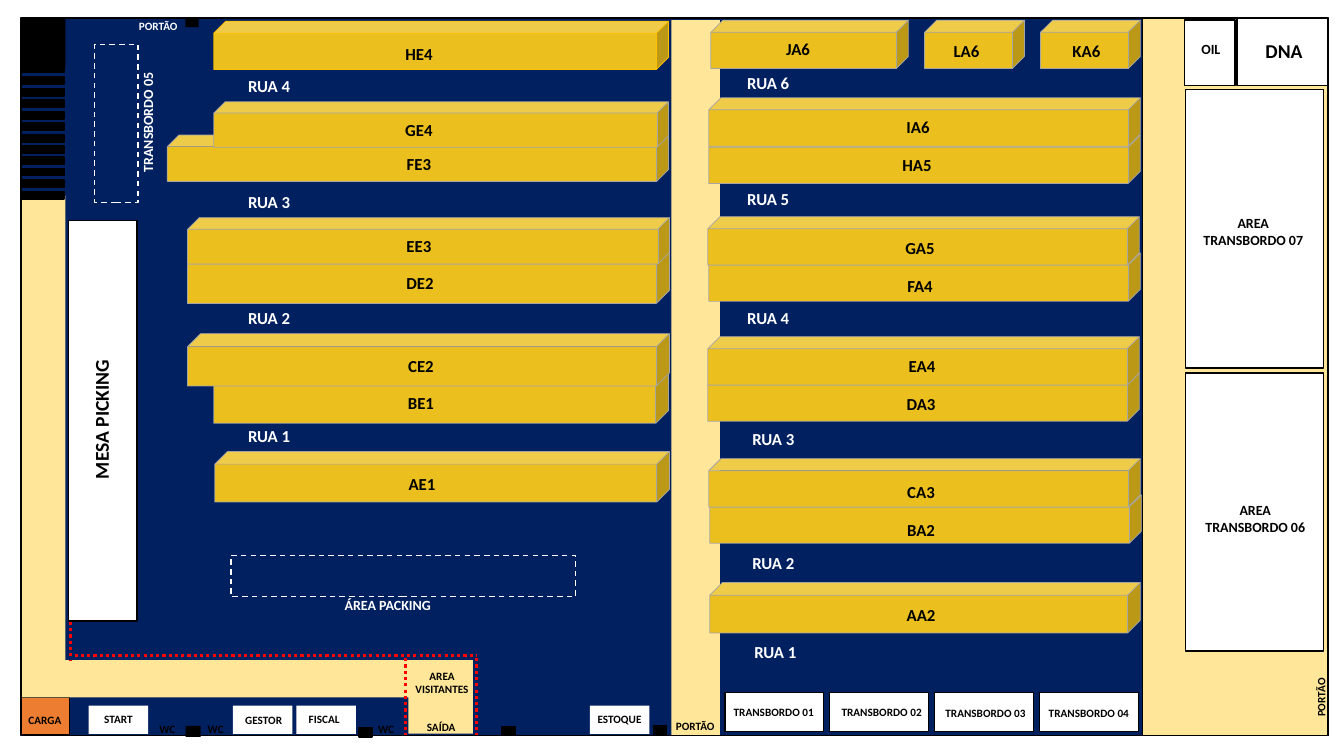
from lxml.etree import SubElement
from pptx import Presentation
from pptx.dml.color import RGBColor
from pptx.enum.dml import MSO_LINE
from pptx.enum.shapes import MSO_CONNECTOR, MSO_SHAPE
from pptx.enum.text import MSO_AUTO_SIZE, PP_ALIGN
from pptx.oxml.ns import qn
from pptx.util import Pt

PX = 9144  # 100 px to the inch
SLIDE_SIZE = (1333, 750)
FONT = "Calibri"

NAVY = RGBColor(0x00, 0x20, 0x60)
CREAM = RGBColor(0xFF, 0xE6, 0x99)
ORANGE = RGBColor(0xED, 0x7D, 0x31)
YELLOW = RGBColor(0xEB, 0xBF, 0x1D)
AMBER = RGBColor(0xFF, 0xC0, 0x00)
GREY = RGBColor(0xA5, 0xA5, 0xA5)
RED = RGBColor(0xFF, 0x00, 0x00)
BLACK = RGBColor(0x00, 0x00, 0x00)
WHITE = RGBColor(0xFF, 0xFF, 0xFF)

# Floor areas: (left, top, width, height), fill, outline
FLOOR = [
    ((21, 18, 1297, 712), NAVY, BLACK),
    ((1133, 18, 184, 712), CREAM, BLACK),
    ((1227, 18, 90, 67), WHITE, BLACK),
    ((666, 20, 48, 709), CREAM, None),
    ((1176, 370, 137, 276), WHITE, BLACK),
    ((1176, 89, 137, 276), WHITE, BLACK),
    ((21, 692, 48, 37), ORANGE, BLACK),
    ((22, 194, 43, 462), CREAM, None),
    ((22, 655, 447, 37), CREAM, None),
]
STAIRS = {"left": 14, "top": 13, "width": 57, "height": 32, "count": 8, "last_top": 172}

# Rooms, doors and tables
ROOMS = [
    ((21, 18, 44, 50), BLACK, None),
    ((88, 700, 59, 28), WHITE, None),
    ((184, 720, 15, 11), BLACK, None),
    ((356, 722, 13, 9), BLACK, BLACK),
    ((498, 721, 13, 9), BLACK, BLACK),
    ((648, 720, 13, 9), BLACK, BLACK),
    ((294, 700, 59, 28), WHITE, None),
    ((231, 700, 59, 28), WHITE, None),
    ((585, 700, 59, 28), WHITE, None),
    ((405, 658, 64, 70), CREAM, None),
    ((68, 219, 68, 397), WHITE, BLACK),
    ((184, 18, 13, 9), BLACK, None),
    ((1175, 20, 50, 65), WHITE, BLACK),
]

DOCK = {"left": 719, "top": 687, "width": 98, "height": 39, "pitch": 104}
DOCK_LABELS = [("TRANSBORDO 01", 713, 695, 109), ("TRANSBORDO 02", 820, 695, 109),
               ("TRANSBORDO 03", 920, 696, 115), ("TRANSBORDO 04", 1024, 696, 112)]

# Visitor path: start x, y, end x, y
VISITOR_PATH = [(70, 617, 70, 655), (74, 650, 473, 650),
                (473, 653, 473, 729), (402, 653, 402, 729)]
MARKED_AREAS = [(229, 551, 342, 41), (94, 44, 43, 157)]

# Racks, back to front: name, (left, top, width, height), label left, label top
RACKS = [
    ("HE4", (212, 21, 451, 48), 383, 38),
    ("FE3", (166, 134, 497, 46), 383, 148),
    ("GE4", (212, 101, 451, 45), 383, 114),
    ("DE2", (186, 249, 478, 52), 384, 266),
    ("EE3", (186, 216, 478, 46), 383, 229),
    ("BE1", (212, 370, 451, 50), 385, 385),
    ("CE2", (186, 331, 478, 52), 385, 348),
    ("AE1", (213, 448, 451, 50), 386, 465),
    ("JA6", (705, 20, 196, 48), 759, 34),
    ("LA6", (917, 20, 99, 48), 926, 36),
    ("KA6", (1032, 20, 99, 48), 1045, 36),
    ("HA5", (703, 134, 428, 48), 877, 149),
    ("IA6", (703, 97, 428, 48), 878, 111),
    ("FA4", (703, 251, 428, 48), 880, 269),
    ("GA5", (702, 215, 428, 48), 880, 231),
    ("DA3", (702, 370, 428, 48), 881, 386),
    ("EA4", (702, 334, 428, 48), 882, 348),
    ("BA2", (704, 491, 428, 48), 881, 511),
    ("CA3", (703, 455, 428, 48), 881, 473),
    ("AA2", (704, 578, 427, 50), 881, 595),
]

# Aisles: left and top of RUA 1, RUA 2 and so on, for each side
AISLES = [
    [(222, 417), (222, 300), (222, 185), (222, 70)],
    [(724, 632), (722, 543), (722, 420), (717, 300), (717, 182), (717, 67)],
]

# Labels: size, colour, rotation, [(text, left, top, width)]
LABELS = [
    (8, BLACK, 0, [
        ("START", 88, 702, 59), ("GESTOR", 232, 703, 59), ("FISCAL", 292, 702, 59),
        ("ESTOQUE", 582, 702, 65), ("CARGA", 15, 703, 59),
        ("AREA\nVISITANTES", 400, 659, 77), ("PORTÃO", 659, 709, 61),
        ("WC", 146, 712, 40), ("WC", 194, 712, 40), ("WC", 363, 712, 40),
        ("SAÍDA", 405, 710, 65)] + DOCK_LABELS),
    (8, WHITE, 0, [("PORTÃO", 122, 14, 70)]),
    (8, BLACK, 270, [("PORTÃO", 1280, 680, 61)]),
    (10, BLACK, 0, [("AREA\nTRANSBORDO 06", 1177, 493, 136),
                    ("AREA\nTRANSBORDO 07", 1175, 208, 136), ("OIL", 1176, 35, 50)]),
    (10, WHITE, 0, [("ÁREA PACKING", 251, 587, 267)]),
    (10, WHITE, 270, [("TRANSBORDO 05", 67, 108, 159)]),
    (14, BLACK, 0, [("DNA", 1244, 34, 59)]),
    (14, BLACK, 270, [("MESA PICKING", -87, 399, 375)]),
    (12, BLACK, 0, [(name, left, top, 65) for name, _, left, top in RACKS]),
    (12, WHITE, 0, [(f"RUA {number}", left, top, 90)
                    for side in AISLES for number, (left, top) in enumerate(side, 1)]),
]


def add_block(shapes, kind, box, fill, outline, weight=1):
    shape = shapes.add_shape(kind, *(value * PX for value in box))
    shape.shadow.inherit = False
    if fill is None:
        shape.fill.background()
    else:
        shape.fill.solid()
        shape.fill.fore_color.rgb = fill
    if outline is None:
        shape.line.fill.background()
    else:
        shape.line.color.rgb = outline
        shape.line.width = Pt(weight)
    return shape


def add_label(shapes, text, left, top, width, size, colour, rotation):
    lines = text.split("\n")
    height = 10 + round(size * 1.7) * len(lines)
    label = shapes.add_textbox(left * PX, top * PX, width * PX, height * PX)
    label.rotation = rotation
    frame_format = {"word_wrap": True, "auto_size": MSO_AUTO_SIZE.SHAPE_TO_FIT_TEXT,
                    "margin_left": 0, "margin_right": 0}
    for name, value in frame_format.items():
        setattr(label.text_frame, name, value)
    label.text_frame.text = text
    for paragraph in label.text_frame.paragraphs:
        paragraph.alignment = PP_ALIGN.CENTER
        for name, value in {"name": FONT, "size": Pt(size), "bold": True}.items():
            setattr(paragraph.font, name, value)
        paragraph.font.color.rgb = colour


def main():
    presentation = Presentation()
    presentation.slide_width, presentation.slide_height = (side * PX for side in SLIDE_SIZE)
    slide = presentation.slides.add_slide(presentation.slide_layouts[6])
    shapes = slide.shapes

    # Floor and stairs
    for box, fill, outline in FLOOR:
        add_block(shapes, MSO_SHAPE.RECTANGLE, box, fill, outline)
    pitch = (STAIRS["last_top"] - STAIRS["top"]) / (STAIRS["count"] - 1)
    for step in range(STAIRS["count"]):
        box = (STAIRS["left"], round(STAIRS["top"] + step * pitch),
               STAIRS["width"], STAIRS["height"])
        add_block(shapes, MSO_SHAPE.MATH_EQUAL, box, BLACK, BLACK)

    # Rooms and loading docks
    for box, fill, outline in ROOMS:
        add_block(shapes, MSO_SHAPE.RECTANGLE, box, fill, outline)
    for index in range(len(DOCK_LABELS)):
        box = (DOCK["left"] + index * DOCK["pitch"], DOCK["top"], DOCK["width"], DOCK["height"])
        add_block(shapes, MSO_SHAPE.RECTANGLE, box, WHITE, BLACK)

    # Visitor path
    for ends in VISITOR_PATH:
        line = shapes.add_connector(MSO_CONNECTOR.STRAIGHT, *(value * PX for value in ends))
        line.line.color.rgb = RED
        line.line.width = Pt(2.25)
        line.line.dash_style = MSO_LINE.ROUND_DOT
        SubElement(line._element.spPr, qn("a:effectLst"))

    # Racks
    for name, box, _, _ in RACKS:
        add_block(shapes, MSO_SHAPE.CUBE, box, YELLOW, AMBER if name == "HE4" else GREY, 0.5)

    # Labels
    for size, colour, rotation, items in LABELS:
        for item in items:
            add_label(shapes, *item, size, colour, rotation)

    # Dashed areas
    for box in MARKED_AREAS:
        area = add_block(shapes, MSO_SHAPE.RECTANGLE, box, None, WHITE)
        area.line.dash_style = MSO_LINE.DASH

    presentation.save("out.pptx")


if __name__ == "__main__":
    main()
